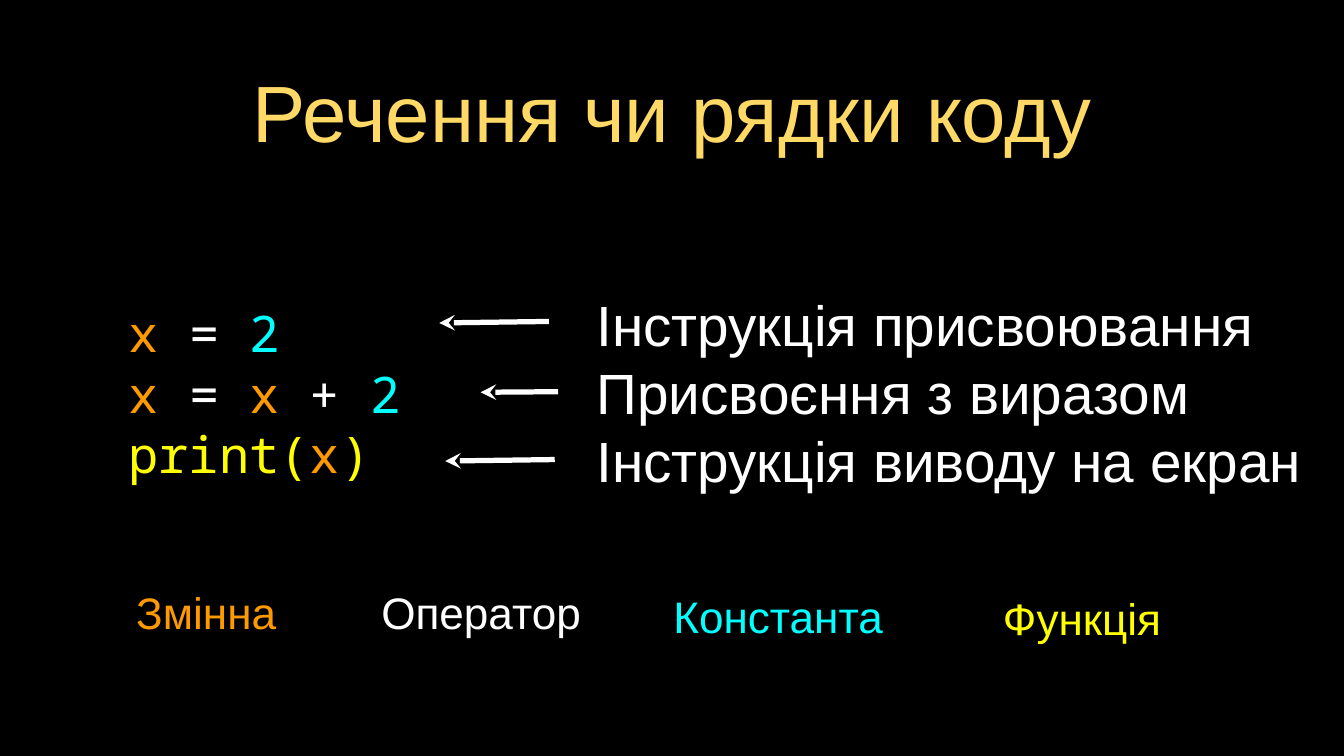
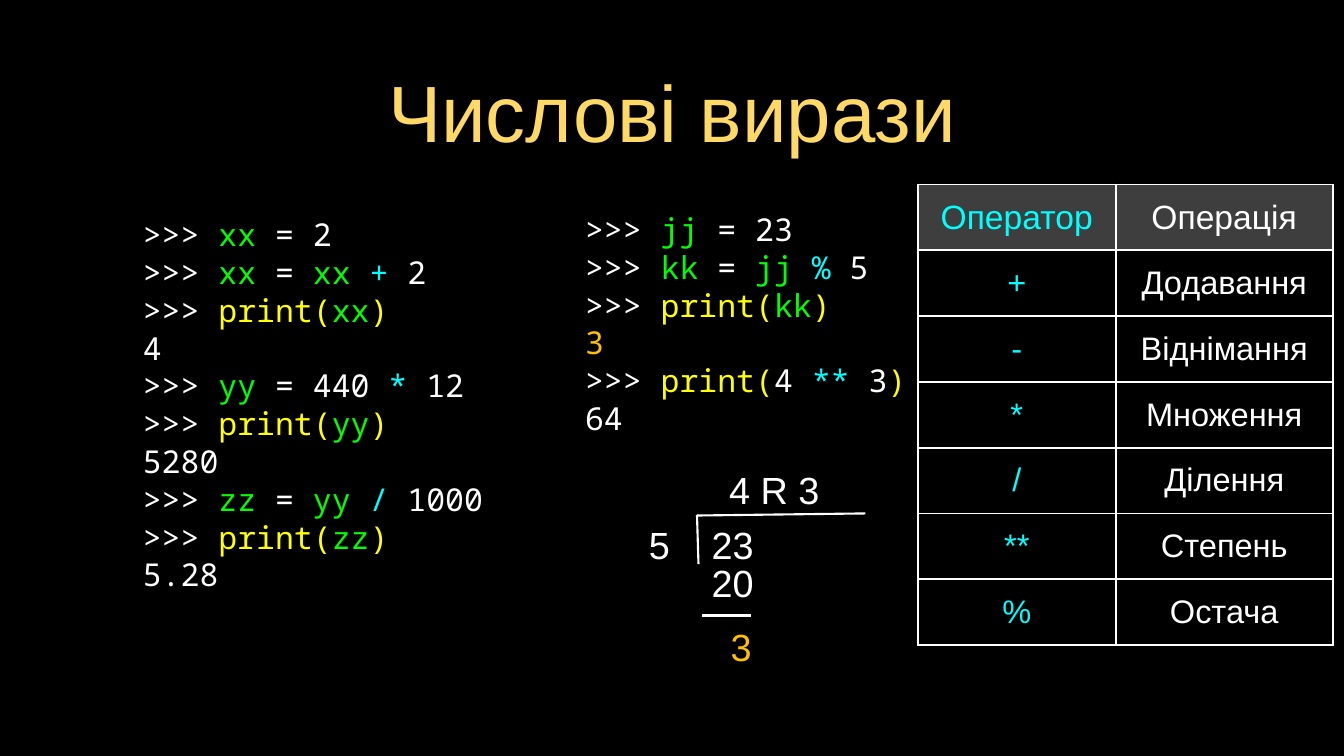
from lxml.etree import SubElement
from pptx import Presentation
from pptx.dml.color import RGBColor
from pptx.enum.shapes import MSO_CONNECTOR
from pptx.enum.text import MSO_ANCHOR, MSO_AUTO_SIZE, PP_ALIGN
from pptx.oxml.ns import qn
from pptx.util import Cm, Pt

COLORS = {
    "black": "000000", "white": "FFFFFF", "title": "FFD966", "orange": "FF9900",
    "cyan": "00FFFF", "yellow": "FFFF00", "green": "00FF00", "amber": "FFC000",
    "header": "7F7F7F",
}
SANS, MONO = "Arial", "Noto Sans Mono"


def rgb(name):
    return RGBColor.from_string(COLORS[name])


def write(tf, lines, size, font=SANS, color="white", align=PP_ALIGN.LEFT, spacing=None):
    """Fill a text frame; a line is a string or a list of (text, color) runs."""
    for i, line in enumerate(lines):
        p = tf.paragraphs[0] if i == 0 else tf.add_paragraph()
        p.alignment = align
        if spacing:
            p.line_spacing = Pt(size * spacing)
        for text, run_color in [(line, color)] if isinstance(line, str) else line:
            r = p.add_run()
            r.text = text
            r.font.name = font
            r.font.size = Pt(size)
            r.font.color.rgb = rgb(run_color)


def set_frame(tf, inset):
    tf.word_wrap = True
    tf.auto_size = MSO_AUTO_SIZE.NONE
    tf.vertical_anchor = MSO_ANCHOR.MIDDLE
    tf.margin_left = tf.margin_right = tf.margin_top = tf.margin_bottom = Cm(inset)


def add_text(s, box, lines, **style):
    tf = s.shapes.add_textbox(*map(Cm, box)).text_frame
    set_frame(tf, 0)
    write(tf, lines, **style)


def add_label(s, box, text, **style):
    add_text(s, box, [text], align=PP_ALIGN.CENTER, **style)


def add_block(s, box, lines, **style):
    add_text(s, box, lines, spacing=1.2, **style)


def add_line(s, x1, y1, x2, y2, width, arrow=False):
    """Draw a white line, with its arrowhead at the first point."""
    line = s.shapes.add_connector(MSO_CONNECTOR.STRAIGHT, Cm(x1), Cm(y1), Cm(x2), Cm(y2))
    line.line.color.rgb = rgb("white")
    line.line.width = Pt(width)
    sp_pr = line.element.spPr
    if arrow:
        SubElement(sp_pr.find(qn("a:ln")), qn("a:headEnd"), type="stealth")
    SubElement(sp_pr, qn("a:effectLst"))


def add_slide(prs, title):
    s = prs.slides.add_slide(prs.slide_layouts[5])
    sp = s.shapes.title
    sp.left, sp.top, sp.width, sp.height = Cm(2.26), Cm(2.18), Cm(40.64), Cm(3.07)
    set_frame(sp.text_frame, 0.1)
    write(sp.text_frame, [title], size=76, color="title", align=PP_ALIGN.CENTER)
    return s


def set_borders(cell, width):
    tc_pr = cell._tc.get_or_add_tcPr()
    for i, side in enumerate(("lnL", "lnR", "lnT", "lnB")):
        ln = tc_pr.makeelement(qn(f"a:{side}"), {"w": str(Pt(width))})
        fill = SubElement(ln, qn("a:solidFill"))
        SubElement(fill, qn("a:srgbClr"), val=COLORS["white"])
        tc_pr.insert(i, ln)


def fill_header(cell):
    cell.fill.solid()
    cell.fill.fore_color.rgb = rgb("header")
    color = cell._tc.tcPr.find(f"{qn('a:solidFill')}/{qn('a:srgbClr')}")
    SubElement(color, qn("a:alpha"), val="49000")


def add_operator_table(s, rows, left, top, col_widths, row_height):
    table = s.shapes.add_table(
        len(rows), len(col_widths), Cm(left), Cm(top),
        Cm(sum(col_widths)), Cm(row_height * len(rows))).table
    table.first_row = table.horz_banding = False
    for column, width in zip(table.columns, col_widths):
        column.width = Cm(width)
    for i, row in enumerate(rows):
        table.rows[i].height = Cm(row_height)
        for j, text in enumerate(row):
            cell = table.cell(i, j)
            cell.vertical_anchor = MSO_ANCHOR.MIDDLE
            cell.margin_left = cell.margin_right = Cm(0.1)
            cell.margin_top = cell.margin_bottom = Cm(0.1)
            write(cell.text_frame, [text], size=31 if i else 32,
                  color="white" if j else "cyan", align=PP_ALIGN.CENTER)
            if i:
                cell.fill.background()
            else:
                fill_header(cell)
            set_borders(cell, 2)


def prompt(*runs):
    return [(">>> ", "white"), *runs]


def print_call(*args):
    return [("print(", "yellow"), *args, (")", "yellow")]


def print_variable(name):
    return prompt(*print_call((name, "green")))


def build_statements(prs):
    s = add_slide(prs, "Речення чи рядки коду")
    x, equals, two = ("x ", "orange"), ("= ", "white"), ("2", "cyan")
    add_block(s, (4.32, 7.59, 11.13, 11.23),
              [[x, equals, two],
               [x, equals, x, ("+ ", "white"), two],
               print_call(("x", "orange"))], size=48, font=MONO)
    for left, top, width, text, color in (
            (3.68, 19.56, 6.5, "Змінна", "orange"),
            (12.47, 19.56, 7.39, "Оператор", "white"),
            (22.45, 19.69, 7.39, "Константа", "cyan"),
            (32.18, 19.74, 8.36, "Функція", "yellow")):
        add_label(s, (left, top, width, 2.01), text, size=42, color=color)
    add_block(s, (20.04, 7.54, 24.46, 11.23),
              ["Інструкція присвоювання", "Присвоєння з виразом",
               "Інструкція виводу на екран"], size=54)
    for points in ((14.76, 10.85, 18.44, 10.8),
                   (16.15, 13.18, 18.75, 13.16),
                   (14.96, 15.49, 18.64, 15.44)):
        add_line(s, *points, width=5, arrow=True)


def add_long_division(s):
    for points in ((23.42, 17.3, 23.47, 18.95),
                   (23.42, 17.32, 29.08, 17.25),
                   (23.6, 20.68, 25.22, 20.68)):
        add_line(s, *points, width=2)
    for left, top, width, text, color in (
            (21.69, 17.42, 0.94, "5", "white"),
            (23.83, 17.42, 1.57, "23", "white"),
            (24.49, 15.57, 3.05, "4 R 3", "white"),
            (23.83, 18.69, 1.57, "20", "white"),
            (24.43, 20.85, 0.94, "3", "amber")):
        add_label(s, (left, top, width, 1.73), text, size=36, color=color)


def build_expressions(prs):
    s = add_slide(prs, "Числові вирази")
    add_block(s, (4.8, 6.2, 12.4, 14.76), [
        prompt(("xx", "green"), (" = 2", "white")),
        prompt(("xx", "green"), (" = ", "white"), ("xx ", "green"),
               ("+", "cyan"), (" 2", "white")),
        print_variable("xx"),
        "4",
        prompt(("yy", "green"), (" = 440 ", "white"), ("*", "cyan"), (" 12", "white")),
        print_variable("yy"),
        "5280",
        prompt(("zz", "green"), (" = ", "white"), ("yy ", "green"),
               ("/", "cyan"), (" 1000", "white")),
        print_variable("zz"),
        "5.28",
    ], size=30, font=MONO)
    add_block(s, (19.66, 6.38, 11.18, 8.97), [
        prompt(("jj", "green"), (" = 23", "white")),
        prompt(("kk", "green"), (" = ", "white"), ("jj ", "green"),
               ("% ", "cyan"), ("5", "white")),
        print_variable("kk"),
        [("3", "amber")],
        prompt(*print_call(("4 ", "white"), ("**", "cyan"), (" 3", "white"))),
        "64",
    ], size=30, font=MONO)
    add_long_division(s)
    add_operator_table(s, [
        ("Оператор", "Операція"),
        ("+", "Додавання"),
        ("-", "Віднімання"),
        ("*", "Множення"),
        ("/", "Ділення"),
        ("**", "Степень"),
        ("%", "Остача"),
    ], left=30.84, top=6.2, col_widths=(6.65, 7.29), row_height=2.21)


def main():
    prs = Presentation()
    prs.slide_width, prs.slide_height = Cm(45.16), Cm(25.4)
    fill = prs.slide_master.background.fill
    fill.solid()
    fill.fore_color.rgb = rgb("black")
    build_statements(prs)
    build_expressions(prs)
    prs.save("out.pptx")


if __name__ == "__main__":
    main()
